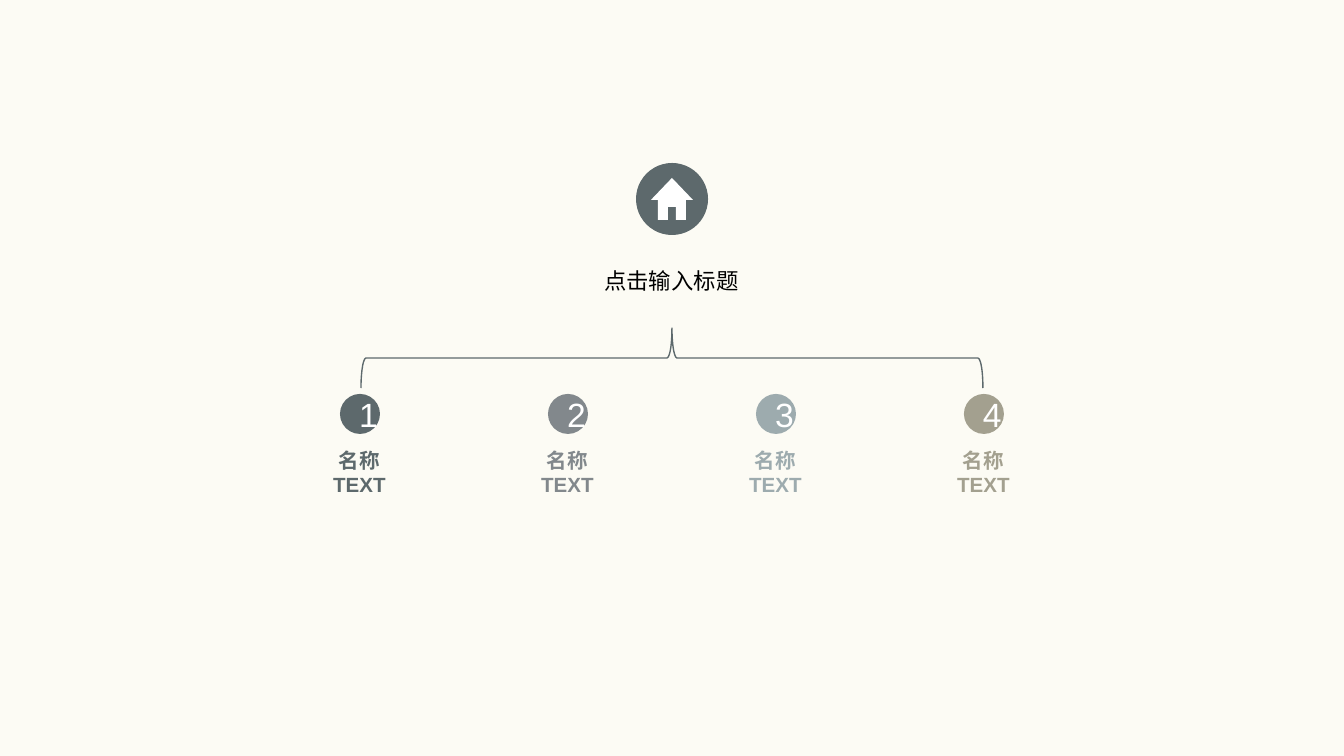
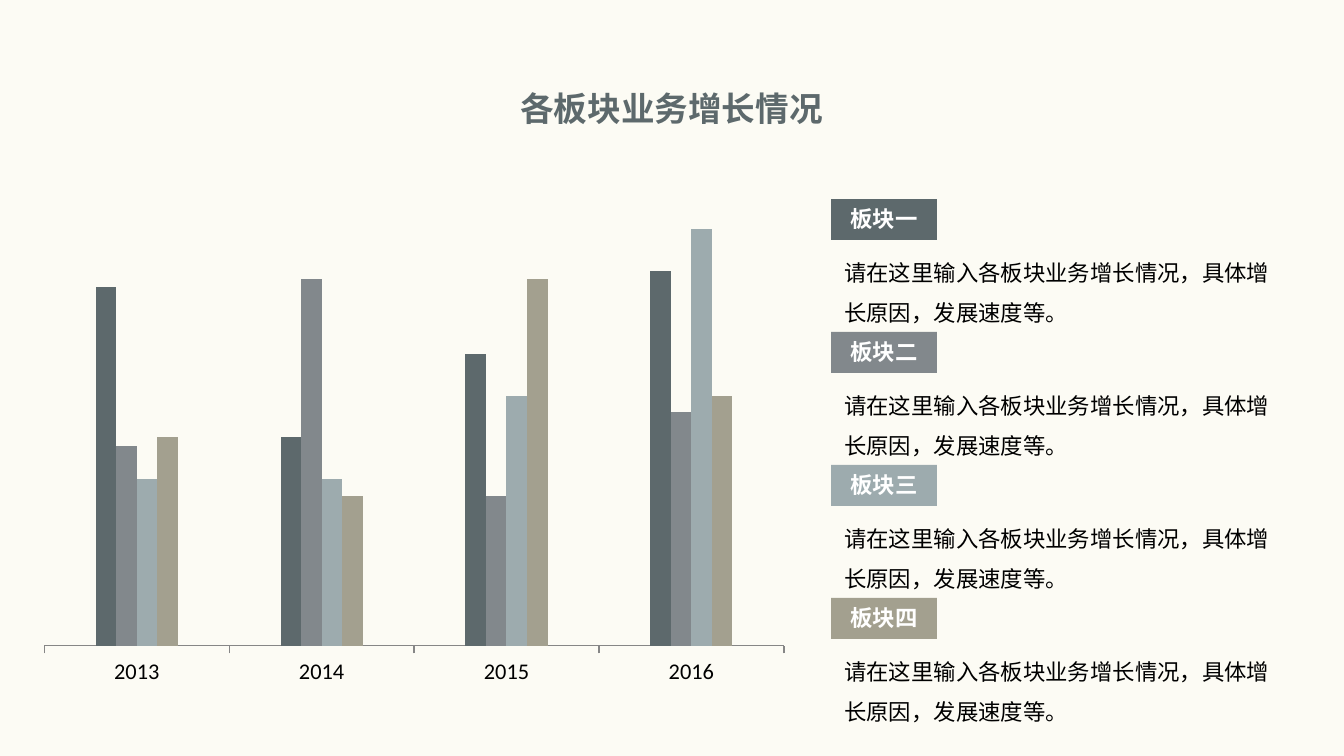
from lxml import etree
from pptx import Presentation
from pptx import util as u
from pptx.chart.data import CategoryChartData
from pptx.dml.color import RGBColor
from pptx.enum import chart as charts, shapes, text as texts
from pptx.oxml import parse_xml
from pptx.oxml.ns import nsdecls, qn

SCALE = 914400 / 134.4
PAPER, WHITE, BLACK = "FCFBF4", "FFFFFF", "000000"
TONES = ["5D696C", "82888C", "9DABAE", "A3A08F"]
HAN, LATIN = "Noto Sans CJK SC", "Arial"


def px(n):
    return u.Emu(round(n * SCALE))


def tint(code):
    return RGBColor.from_string(code)


def write(shape, *lines, size=12, color=BLACK, bold=False, align="CENTER",
          anchor="TOP", space=None, grow=True):
    frame = shape.text_frame
    frame.word_wrap = True
    frame.vertical_anchor = texts.MSO_ANCHOR[anchor]
    if grow:
        frame.auto_size = texts.MSO_AUTO_SIZE.SHAPE_TO_FIT_TEXT
    for i, (words, face) in enumerate(lines):
        para = frame.add_paragraph() if i else frame.paragraphs[0]
        para.alignment = texts.PP_ALIGN[align]
        if space:
            para.line_spacing = space
        run = para.add_run()
        run.text = words
        font = run.font
        font.size, font.bold, font.name = u.Pt(size), bold, face
        font.color.rgb = tint(color)
        etree.SubElement(font._element, qn("a:ea")).set("typeface", HAN)


class Deck:
    def __init__(self):
        self.file = Presentation()
        self.file.slide_width, self.file.slide_height = px(1344), px(756)

    def page(self):
        self.slide = self.file.slides.add_slide(self.file.slide_layouts[6])
        fill = self.slide.background.fill
        fill.solid()
        fill.fore_color.rgb = tint(PAPER)
        self.root()

    def root(self):
        self.place = self.slide.shapes

    def group(self):
        self.place = self.slide.shapes.add_group_shape().shapes

    def paint(self, shape, fill=None, line=None):
        shape.shadow.inherit = False
        if fill:
            shape.fill.solid()
            shape.fill.fore_color.rgb = tint(fill)
        else:
            shape.fill.background()
        if line:
            shape.line.color.rgb = tint(line)
            shape.line.width = u.Pt(0.75)
        else:
            shape.line.fill.background()
        return shape

    def shape(self, kind, x, y, w, h, **look):
        kind = shapes.MSO_SHAPE[kind]
        item = self.place.add_shape(kind, px(x), px(y), px(w), px(h))
        return self.paint(item, **look)

    def outline(self, points, **look):
        pen = self.place.build_freeform(*points[0], scale=SCALE)
        pen.add_line_segments(points[1:], close=True)
        return self.paint(pen.convert_to_shape(), **look)

    def text(self, x, y, w, h, *lines, **form):
        write(self.place.add_textbox(px(x), px(y), px(w), px(h)), *lines, **form)

    def columns(self, x, y, w, h, names, rows, top):
        data = CategoryChartData()
        data.categories = names
        for i, row in enumerate(rows, 1):
            data.add_series(f"Series {i}", row)
        kind = charts.XL_CHART_TYPE.COLUMN_CLUSTERED
        chart = self.place.add_chart(kind, px(x), px(y), px(w), px(h), data).chart
        chart.has_legend = chart.has_title = False
        chart.font.name, chart.font.size = "Calibri", u.Pt(18)
        chart.font.color.rgb = tint(BLACK)
        plot = chart.plots[0]
        plot.gap_width, plot.overlap, plot.vary_by_categories = 500, 0, False
        for series, tone in zip(plot.series, TONES):
            series.format.fill.solid()
            series.format.fill.fore_color.rgb = tint(tone)
        scale = chart.value_axis
        scale.visible = scale.has_major_gridlines = False
        scale.minimum_scale, scale.maximum_scale = 0, top
        base = chart.category_axis
        base.major_tick_mark = charts.XL_TICK_MARK.OUTSIDE
        base.tick_labels.font.size = u.Pt(12)
        base.format.line.color.rgb = tint("868686")
        base.format.line.width = u.Pt(0.75)
        area = chart._chartSpace.chart.plotArea
        for old in area.findall(qn("c:layout")):
            area.remove(old)
        parts = [("layoutTarget", "inner"), ("xMode", "edge"), ("yMode", "edge"),
                 ("x", 0.026), ("y", 0), ("w", 0.947), ("h", 0.886)]
        inner = "".join(f'<c:{tag} val="{val}"/>' for tag, val in parts)
        area.insert(0, parse_xml(
            f'<c:layout {nsdecls("c")}><c:manualLayout>{inner}'
            '</c:manualLayout></c:layout>'))


def tree(deck):
    deck.page()
    deck.group()
    deck.shape("OVAL", 636, 163, 72, 72, fill=TONES[0])
    half = [(672, 178), (693, 200), (686, 200), (686, 220), (676, 220), (676, 207)]
    deck.outline(half + [(1344 - x, y) for x, y in half[:0:-1]], fill=WHITE)
    deck.root()
    deck.text(430, 261, 483, 40, ("点击输入标题", LATIN))
    brace = deck.shape("RIGHT_BRACE", 642, 47, 60, 622, line=TONES[0])
    brace.rotation = 270
    for i, tone in enumerate(TONES):
        deck.group()
        left = 208 * i
        dot = deck.shape("OVAL", 340 + left, 394, 40, 40, fill=tone)
        write(dot, (str(i + 1), LATIN), size=18, color=WHITE, anchor="MIDDLE",
              grow=False)
        deck.text(313 + left, 441, 93, 63, ("名称", HAN), ("TEXT", LATIN),
                  size=11, color=tone, bold=True)


def growth(deck):
    deck.page()
    deck.columns(24, 146, 781, 564, ["2013", "2014", "2015", "2016"],
                 [(86, 50, 70, 90), (48, 88, 36, 56),
                  (40, 40, 60, 100), (50, 36, 88, 60)], 120)
    deck.text(384, 81, 575, 54, ("各板块业务增长情况", HAN),
              size=18, color=TONES[0], bold=True)
    for i, (mark, tone) in enumerate(zip("一二三四", TONES)):
        deck.group()
        top = 199 + 133 * i
        tag = deck.shape("RECTANGLE", 831, top, 106, 41, fill=tone)
        write(tag, ("板块" + mark, HAN), color=WHITE, bold=True)
        deck.text(831, top + 40, 470, 90,
                  ("请在这里输入各板块业务增长情况，具体增长原因，发展速度等。", HAN),
                  align="LEFT", space=1.5)


def main():
    deck = Deck()
    tree(deck)
    growth(deck)
    deck.file.save("out.pptx")


if __name__ == "__main__":
    main()
